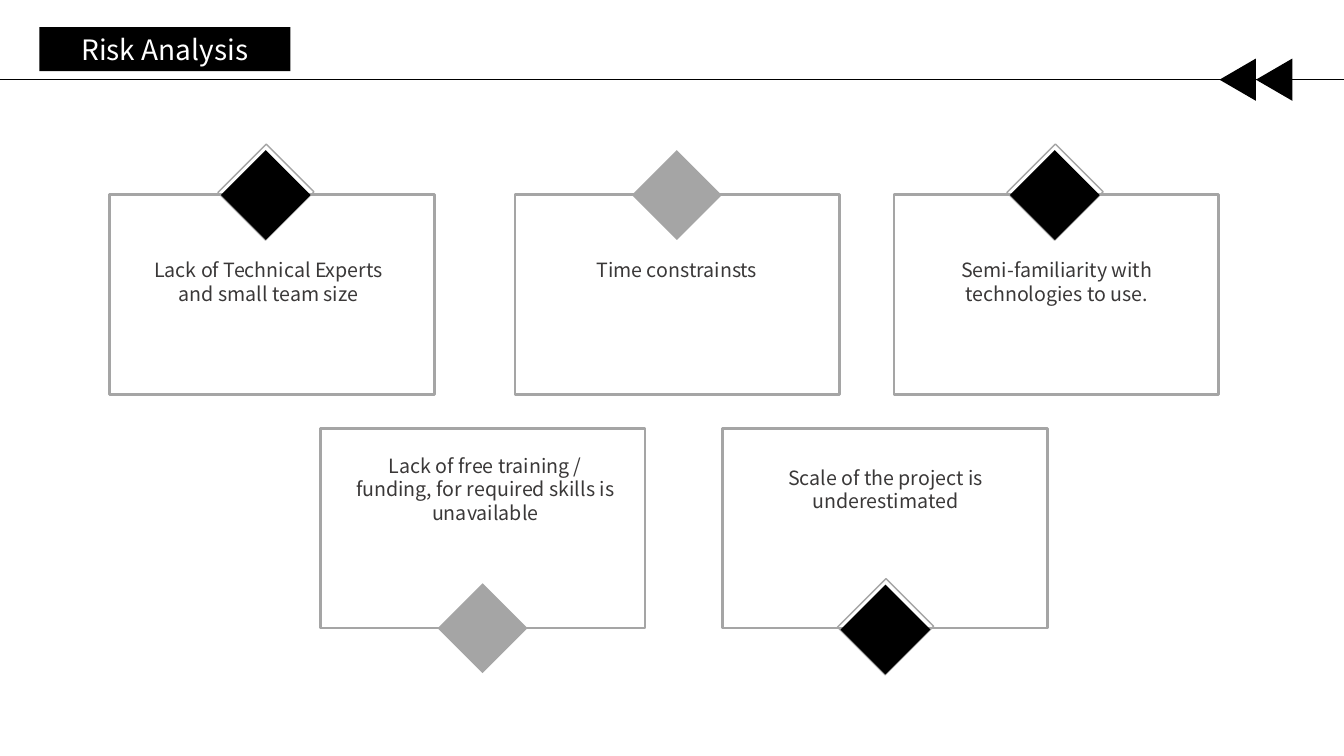
"""Builds the Risk Analysis slide with five risk cards."""
from lxml import etree
from pptx import Presentation
from pptx.dml.color import RGBColor
from pptx.enum import shapes, text
from pptx.oxml import ns
from pptx.util import Pt

BLACK = RGBColor(0x00, 0x00, 0x00)
WHITE = RGBColor(0xFF, 0xFF, 0xFF)
GREY = RGBColor(0xA5, 0xA5, 0xA5)
INK = RGBColor(0x3A, 0x38, 0x38)
FONT = "Noto Sans CJK SC"
RECT = shapes.MSO_SHAPE.RECTANGLE

deck = Presentation()
deck.slide_width, deck.slide_height = Pt(960), Pt(540)
slide = deck.slides.add_slide(deck.slide_layouts[6])


def add_block(kind, left, top, width, height, fill=None, line=None, weight=1, turn=0):
    block = slide.shapes.add_shape(kind, Pt(left), Pt(top), Pt(width), Pt(height))
    block.shadow.inherit = False
    block.rotation = turn
    if fill is None:
        block.fill.background()
    else:
        block.fill.solid()
        block.fill.fore_color.rgb = fill
    if line is None:
        block.line.fill.background()
    else:
        block.line.color.rgb = line
        block.line.width = Pt(weight)
    return block


def write(holder, words, size, color):
    frame = holder.text_frame
    frame.word_wrap = True
    frame.vertical_anchor = text.MSO_ANCHOR.TOP
    frame.text = words
    paragraph = frame.paragraphs[0]
    paragraph.alignment = text.PP_ALIGN.CENTER
    font = paragraph.runs[0].font
    font.name, font.size, font.color.rgb = FONT, Pt(size), color


CARD_WIDTH, CARD_HEIGHT = 231.8, 142.6
DIAMOND = 45.4
risks = [
    ("Lack of Technical Experts and small team size",
     (78.5, 139), (167.2, 116.6), (92.2, 180.7), 41, BLACK),
    ("Time constrainsts",
     (367.9, 139), (460.8, 116.6), (383.8, 180.7), 24.5, GREY),
    ("Semi-familiarity with technologies to use.",
     (638.6, 139), (730.8, 116.6), (655.2, 180.7), 41, BLACK),
    ("Lack of free training / funding, for required skills is unavailable",
     (229, 306), (322, 426), (247, 320.4), 58.3, GREY),
    ("Scale of the project is underestimated",
     (516.2, 306), (609.8, 427), (532.8, 329), 41, BLACK),
]

for _, card_at, *_ in risks:
    add_block(RECT, *card_at, CARD_WIDTH, CARD_HEIGHT, line=GREY, weight=2)

for words, _, (left, top), words_at, words_height, color in risks:
    if color == BLACK:
        add_block(RECT, left - 1.7, top - 3.4, 49, 48.2, line=GREY, turn=315)
    add_block(RECT, left, top, DIAMOND, DIAMOND, fill=color, turn=315)
    caption = slide.shapes.add_textbox(
        *map(Pt, words_at), Pt(199.4), Pt(words_height))
    write(caption, words, 14, INK)

rule = slide.shapes.add_connector(
    shapes.MSO_CONNECTOR.STRAIGHT, Pt(0), Pt(56.9), Pt(960), Pt(56.9))
rule.line.color.rgb = BLACK
rule.line.width = Pt(0.75)
etree.SubElement(rule._element.spPr, ns.qn("a:effectLst"))

for arrow_left in (895, 869):
    add_block(shapes.MSO_SHAPE.ISOSCELES_TRIANGLE, arrow_left, 43.9, 30.2, 26,
              fill=BLACK, turn=270)

title = add_block(RECT, 28.1, 19.4, 179.3, 31.5, fill=BLACK)
write(title, "Risk Analysis", 20, WHITE)

deck.save("out.pptx")
